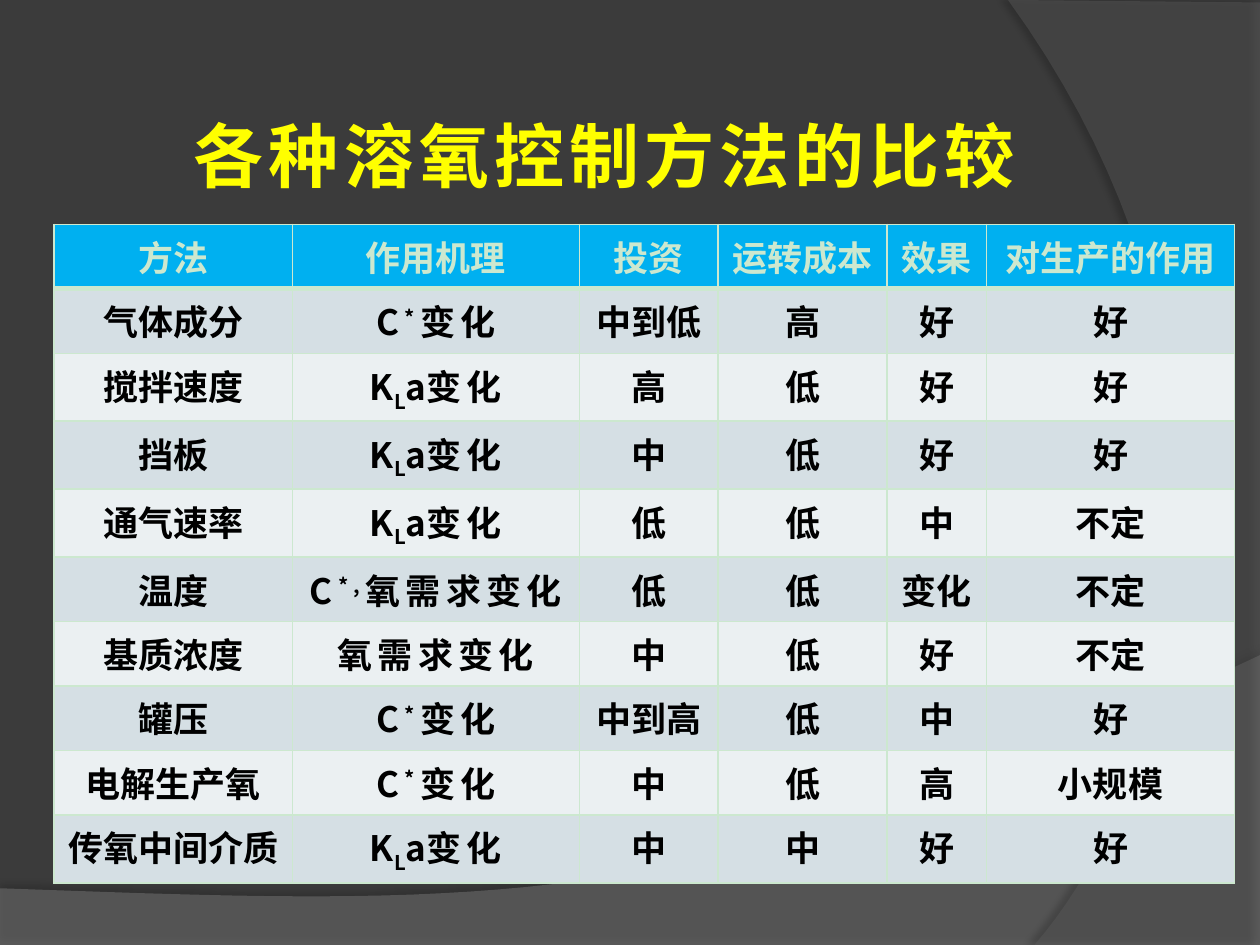
import dataclasses
import pptx
import pptx.dml.color
import pptx.enum.text
import pptx.oxml
import pptx.oxml.ns
import pptx.util


@dataclasses.dataclass(frozen=True)
class Theme:
    background: str = "3B3B3B"
    wave: str = "7F7F7F"
    arc: str = "5E5E5E"
    title: str = "FFFF00"
    header: str = "00B0F0"
    light: str = "CCE8CF"
    text: str = "000000"
    bands: tuple = ("D5DFE4", "EBF0F2")
    title_font: str = "Noto Sans CJK JP"
    table_font: str = "Noto Sans CJK SC"
    title_size: int = 40
    table_size: int = 20
    spacing: int = 300


THEME = Theme()
WIDTH, HEIGHT = 10, 7.5
CURVE_STEPS = 40
COLUMN_WIDTHS = (1.89, 2.28, 1.1, 1.34, 0.79, 1.97)
ROW_HEIGHT = 0.512
SUPERSCRIPT, SUBSCRIPT = 30000, -25000

SATURATION = (("C", 0, True), ("*", SUPERSCRIPT, True), ("变化", 0, True))
TRANSFER = (("K", 0, False), ("L", SUBSCRIPT, False), ("a", 0, False), ("变化", 0, True))
DEMAND = (("氧需求变化", 0, True),)
SATURATION_DEMAND = (("C", 0, True), ("*,", SUPERSCRIPT, True), *DEMAND)

ROWS = (
    ("方法", "作用机理", "投资", "运转成本", "效果", "对生产的作用"),
    ("气体成分", SATURATION, "中到低", "高", "好", "好"),
    ("搅拌速度", TRANSFER, "高", "低", "好", "好"),
    ("挡板", TRANSFER, "中", "低", "好", "好"),
    ("通气速率", TRANSFER, "低", "低", "中", "不定"),
    ("温度", SATURATION_DEMAND, "低", "低", "变化", "不定"),
    ("基质浓度", DEMAND, "中", "低", "好", "不定"),
    ("罐压", SATURATION, "中到高", "低", "中", "好"),
    ("电解生产氧", SATURATION, "中", "低", "高", "小规模"),
    ("传氧中间介质", TRANSFER, "中", "中", "好", "好"),
)


def rgb(color):
    return pptx.dml.color.RGBColor.from_string(color)


def paint(fill, color):
    fill.solid()
    fill.fore_color.rgb = rgb(color)


def add_xml(parent, tag, content="", attributes=""):
    namespace = pptx.oxml.ns.nsdecls("a")
    parent.append(pptx.oxml.parse_xml(f"<a:{tag} {namespace} {attributes}>{content}</a:{tag}>"))


def format_paragraph(paragraph, font_name, size, color):
    paragraph.alignment = pptx.enum.text.PP_ALIGN.CENTER
    font = paragraph.font
    font.name, font.size, font.bold = font_name, pptx.util.Pt(size), True
    font.color.rgb = rgb(color)
    properties = paragraph._p.get_or_add_pPr().find(pptx.oxml.ns.qn("a:defRPr"))
    add_xml(properties, "ea", attributes=f'typeface="{font_name}"')


def add_run(paragraph, text, baseline=0, spaced=False):
    run = paragraph.add_run()
    run.text = text
    properties = run._r.get_or_add_rPr()
    if baseline:
        properties.set("baseline", str(baseline))
    if spaced:
        properties.set("spc", str(THEME.spacing))


def curve(start, control_1, control_2, end):
    points = []
    for step in range(CURVE_STEPS + 1):
        t = step / CURVE_STEPS
        weights = ((1 - t) ** 3, 3 * t * (1 - t) ** 2, 3 * t ** 2 * (1 - t), t ** 3)
        points.append(tuple(
            sum(weight * value for weight, value in zip(weights, axis))
            for axis in zip(start, control_1, control_2, end)
        ))
    return points


def add_backdrop(slide, points, color, opacity, shadow_opacity, distance, direction):
    places = [tuple(pptx.util.Inches(value) for value in point) for point in points]
    builder = slide.shapes.build_freeform(*places[0], scale=1.0)
    builder.add_line_segments(places[1:], close=True)
    shape = builder.convert_to_shape()
    shape.line.fill.background()
    paint(shape.fill, color)
    shape.shadow.inherit = False
    properties = shape.element.spPr
    add_xml(properties.find(".//" + pptx.oxml.ns.qn("a:srgbClr")), "alpha",
            attributes=f'val="{opacity * 1000}"')
    add_xml(
        properties.find(pptx.oxml.ns.qn("a:effectLst")), "outerShdw",
        f'<a:srgbClr val="000000"><a:alpha val="{shadow_opacity * 1000}"/></a:srgbClr>',
        f'blurRad="{pptx.util.Pt(4)}" dist="{pptx.util.Pt(distance)}" '
        f'dir="{direction * 60000}" algn="ctr" rotWithShape="0"',
    )


def add_title(slide, text):
    title = slide.shapes.title
    title.left, title.top = pptx.util.Inches(0.9), pptx.util.Inches(0.84)
    title.width, title.height = pptx.util.Inches(7.8), pptx.util.Inches(0.77)
    title.text_frame.vertical_anchor = pptx.enum.text.MSO_ANCHOR.MIDDLE
    paragraph = title.text_frame.paragraphs[0]
    format_paragraph(paragraph, THEME.title_font, THEME.title_size, THEME.title)
    add_run(paragraph, text, spaced=True)
    title.element.getparent().append(title.element)


def set_borders(cell, widths):
    properties = cell._tc.get_or_add_tcPr()
    for side, width in widths.items():
        add_xml(properties, f"ln{side}",
                f'<a:solidFill><a:srgbClr val="{THEME.light}"/></a:solidFill>',
                f'w="{pptx.util.Pt(width)}"')


def fill_cell(cell, content, row_index):
    is_header = row_index == 0
    top = 3 if row_index == 1 else 1
    set_borders(cell, {"L": 1, "R": 1, "T": top, "B": 3 if is_header else 1})
    paint(cell.fill, THEME.header if is_header else THEME.bands[(row_index - 1) % 2])
    paragraph = cell.text_frame.paragraphs[0]
    format_paragraph(paragraph, THEME.table_font, THEME.table_size,
                     THEME.light if is_header else THEME.text)
    for part in ((content,),) if isinstance(content, str) else content:
        add_run(paragraph, *part)


def add_comparison_table(slide):
    table = slide.shapes.add_table(
        len(ROWS), len(COLUMN_WIDTHS), pptx.util.Inches(0.43), pptx.util.Inches(1.78),
        pptx.util.Inches(sum(COLUMN_WIDTHS)), pptx.util.Inches(ROW_HEIGHT * len(ROWS)),
    ).table
    for column, width in zip(table.columns, COLUMN_WIDTHS):
        column.width = pptx.util.Inches(width)
    for row_index, contents in enumerate(ROWS):
        for column_index, content in enumerate(contents):
            fill_cell(table.cell(row_index, column_index), content, row_index)


def main():
    presentation = pptx.Presentation()
    presentation.slide_width = pptx.util.Inches(WIDTH)
    presentation.slide_height = pptx.util.Inches(HEIGHT)
    slide = presentation.slides.add_slide(presentation.slide_layouts[5])
    paint(slide.background.fill, THEME.background)
    wave = [(0, HEIGHT), (WIDTH, HEIGHT),
            *curve((WIDTH, 5.2), (5.59, 7.29), (3.91, 7.19), (0, 7.05))]
    arc = [(WIDTH, 0.02), (WIDTH, HEIGHT),
           *curve((8.21, HEIGHT), (9.35, 6.19), (10.18, 3), (8, 0))]
    add_backdrop(slide, wave, THEME.wave, 45, 35, 3.5, 270)
    add_backdrop(slide, arc, THEME.arc, 40, 45, 4, 180)
    add_title(slide, "各种溶氧控制方法的比较")
    add_comparison_table(slide)
    presentation.save("out.pptx")


if __name__ == "__main__":
    main()
